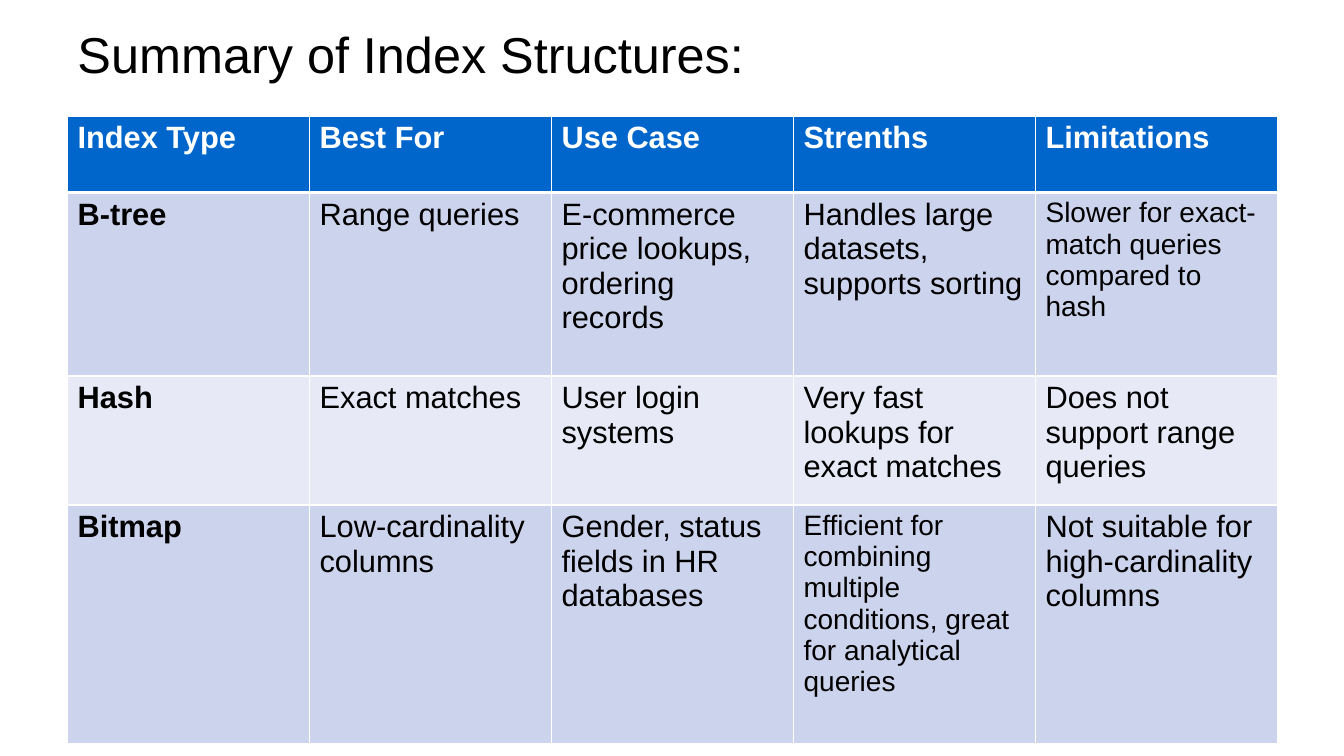
import pptx
import pptx.dml.color
import pptx.enum.text
import pptx.oxml.ns
import pptx.util
from lxml import etree

Inches = pptx.util.Inches
FONT = "Arial"
COLORS = {
    "ink": "000000",
    "white": "FFFFFF",
    "header": "0066CC",
    "band_dark": "CCD3EC",
    "band_light": "E7EAF6",
}
ROW_HEIGHTS = [0.76, 1.82, 1.28, 2.37]
ROWS = [
    ["Index Type", "Best For", "Use Case", "Strenths", "Limitations"],
    ["B-tree", "Range queries", "E-commerce price lookups, ordering records",
     "Handles large datasets, supports sorting",
     "Slower for exact-match queries compared to hash"],
    ["Hash", "Exact matches", "User login systems",
     "Very fast lookups for exact matches", "Does not support range queries"],
    ["Bitmap", "Low-cardinality columns", "Gender, status fields in HR databases",
     "Efficient for combining multiple conditions, great for analytical queries",
     "Not suitable for high-cardinality columns"],
]
SMALLER_CELLS = {(1, 4), (3, 3)}


def rgb(name):
    return pptx.dml.color.RGBColor.from_string(COLORS[name])


def add_span(para, text, size, color, bold=False):
    span = para.add_run()
    span.text = text
    span.font.name = FONT
    span.font.size = pptx.util.Pt(size)
    span.font.bold = bold
    span.font.color.rgb = rgb(color)


def set_border(cell, side, width):
    qn = pptx.oxml.ns.qn
    properties = cell._tc.get_or_add_tcPr()
    line = etree.SubElement(properties, qn(f"a:ln{side}"), w=str(pptx.util.Pt(width)))
    fill = etree.SubElement(line, qn("a:solidFill"))
    etree.SubElement(fill, qn("a:srgbClr"), val=COLORS["white"])


def add_title(page, left, top, width, height):
    box = page.shapes.add_textbox(Inches(left), Inches(top), Inches(width), Inches(height))
    frame = box.text_frame
    frame.word_wrap = True
    frame.vertical_anchor = pptx.enum.text.MSO_ANCHOR.MIDDLE
    add_span(frame.paragraphs[0], "Summary of Index Structures:", 36, "ink")


def add_index_table(page, left, top, width, height):
    table = page.shapes.add_table(
        len(ROWS), len(ROWS[0]), Inches(left), Inches(top), Inches(width), Inches(height)
    ).table
    for column in table.columns:
        column.width = Inches(width / len(ROWS[0]))
    for row_index, (texts, row_height) in enumerate(zip(ROWS, ROW_HEIGHTS)):
        table.rows[row_index].height = Inches(row_height)
        is_header = row_index == 0
        band = "header" if is_header else "band_dark" if row_index % 2 else "band_light"
        for column_index, text in enumerate(texts):
            cell = table.cell(row_index, column_index)
            for side in "LRTB":
                under_header = (row_index, side) in {(0, "B"), (1, "T")}
                set_border(cell, side, 3 if under_header else 1)
            cell.fill.solid()
            cell.fill.fore_color.rgb = rgb(band)
            add_span(
                cell.text_frame.paragraphs[0],
                text,
                20 if (row_index, column_index) in SMALLER_CELLS else 22,
                "white" if is_header else "ink",
                bold=is_header or column_index == 0,
            )


def main():
    deck = pptx.Presentation()
    deck.slide_width = Inches(13.33)
    deck.slide_height = Inches(7.5)
    page = deck.slides.add_slide(deck.slide_layouts[6])
    add_title(page, 0.67, 0.21, 12, 0.64)
    add_index_table(page, 0.67, 1.15, 12, sum(ROW_HEIGHTS))
    deck.save("out.pptx")


if __name__ == "__main__":
    main()
